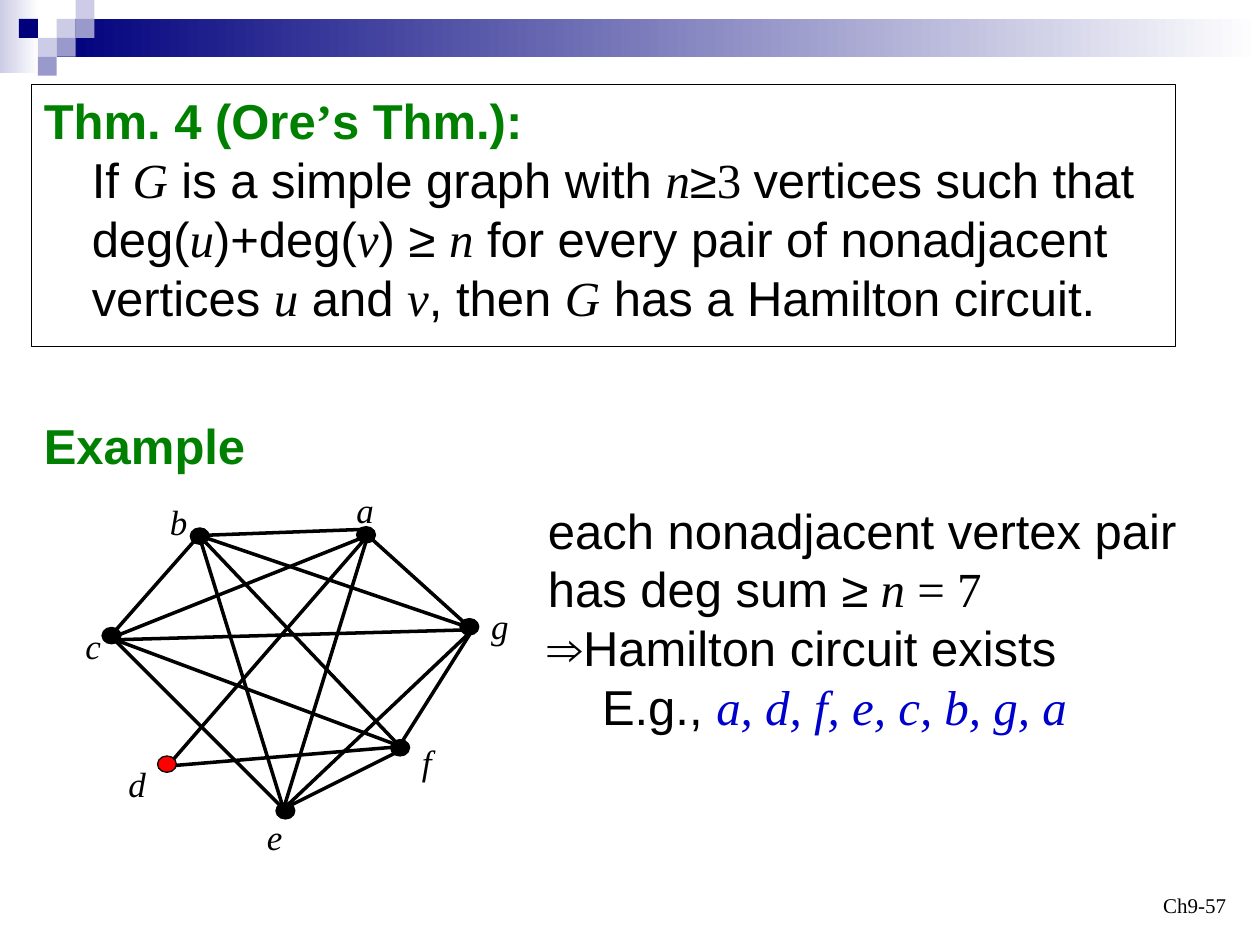
from dataclasses import dataclass
from lxml.etree import SubElement
from pptx import Presentation
from pptx.dml.color import RGBColor
from pptx.enum.shapes import MSO_CONNECTOR as CONNECTOR, MSO_SHAPE as SHAPE
from pptx.enum.text import MSO_ANCHOR as ANCHOR, MSO_AUTO_SIZE as AUTO_SIZE, PP_ALIGN as ALIGN
from pptx.oxml.ns import qn
from pptx.util import Inches, Pt


@dataclass(frozen=True)
class Theme:
    black: RGBColor = RGBColor(0, 0, 0)
    white: RGBColor = RGBColor(255, 255, 255)
    navy: RGBColor = RGBColor.from_string("00007D")
    lavender: RGBColor = RGBColor.from_string("CCCCE6")
    violet: RGBColor = RGBColor.from_string("9999CC")
    green: RGBColor = RGBColor.from_string("008000")
    blue: RGBColor = RGBColor.from_string("0000CC")
    red: RGBColor = RGBColor.from_string("FF0000")
    sans: str = "Arial"
    serif: str = "Times New Roman"
    body: int = 28
    label: int = 20
    footer: int = 12


theme = Theme()
presentation = Presentation()
presentation.slide_width, presentation.slide_height = Inches(10), Inches(7.5)
slide = presentation.slides.add_slide(presentation.slide_layouts[6])
shapes = slide.shapes


def add_shape(kind, box, fill=None, line=None):
    shape = shapes.add_shape(kind, *map(Inches, box))
    shape.shadow.inherit = False
    if fill is None:
        shape.fill.background()
    elif isinstance(fill, list):
        shape.fill.gradient()
        shape.fill.gradient_angle = 0
        for stop, color in zip(shape.fill.gradient_stops, fill):
            stop.color.rgb = color
    else:
        shape.fill.solid()
        shape.fill.fore_color.rgb = fill
    if line is None:
        shape.line.fill.background()
    else:
        shape.line.color.rgb = line
        shape.line.width = Pt(0.75)
    return shape


def add_run(paragraph, text, font=theme.sans, color=theme.black, size=theme.body, bold=False):
    run = paragraph.add_run()
    run.text = text
    run.font.name, run.font.size = font, Pt(size)
    run.font.bold = bold
    run.font.italic = font == theme.serif and any(letter.isalpha() for letter in text) and size != theme.footer
    run.font.color.rgb = color


# Header band and its mosaic of small squares
add_shape(SHAPE.RECTANGLE, (0, 0, 0.31, 0.58), [theme.lavender, theme.white])
add_shape(SHAPE.RECTANGLE, (0.45, 0.15, 9.55, 0.3), [theme.navy, theme.white])
tile = 0.15
for column, row, color in [
    (3, 1, theme.lavender), (4, 0, theme.lavender), (4, 1, theme.violet), (2, 2, theme.lavender),
    (1, 1, theme.navy), (3, 2, theme.violet), (2, 3, theme.violet),
]:
    add_shape(SHAPE.RECTANGLE, (column * tile, row * tile, tile, tile), color)

# Slide number
footer = shapes.add_textbox(Inches(7.5), Inches(6.83), Inches(2.33), Inches(0.5)).text_frame
footer.word_wrap = True
footer.vertical_anchor = ANCHOR.BOTTOM
footer.paragraphs[0].alignment = ALIGN.RIGHT
add_run(footer.paragraphs[0], "Ch9-57", theme.serif, size=theme.footer)

# Theorem box
theorem = add_shape(SHAPE.RECTANGLE, (0.25, 0.67, 9.08, 2.08), line=theme.black).text_frame
theorem.vertical_anchor = ANCHOR.TOP
paragraph = theorem.paragraphs[0]
paragraph.alignment = ALIGN.LEFT
properties = paragraph._p.get_or_add_pPr()
properties.set("marL", str(Inches(0.38)))
properties.set("indent", str(Inches(-0.38)))
add_run(paragraph, "Thm. 4 (Ore", color=theme.green, bold=True)
add_run(paragraph, "’", theme.serif, theme.green, bold=True)
add_run(paragraph, "s Thm.):", color=theme.green, bold=True)
paragraph.add_line_break()
for text, font in [
    ("If ", theme.sans), ("G", theme.serif), (" is a simple graph with ", theme.sans),
    ("n", theme.serif), ("≥", theme.sans), ("3 ", theme.serif),
    ("vertices such that deg(", theme.sans), ("u", theme.serif), (")+deg(", theme.sans),
    ("v", theme.serif), (") ≥ ", theme.sans), ("n", theme.serif),
    (" for every pair of nonadjacent vertices ", theme.sans), ("u", theme.serif),
    (" and ", theme.sans), ("v", theme.serif), (", then ", theme.sans), ("G", theme.serif),
    (" has a Hamilton circuit.", theme.sans),
]:
    add_run(paragraph, text, font)

# Explanation beside the graph
explanation = shapes.add_textbox(Inches(4.25), Inches(3.92), Inches(5.5), Inches(1.97)).text_frame
explanation.word_wrap = True
explanation.auto_size = AUTO_SIZE.SHAPE_TO_FIT_TEXT
paragraph = explanation.paragraphs[0]
add_run(paragraph, "each nonadjacent vertex pair")
paragraph.add_line_break()
add_run(paragraph, "has deg sum ≥")
add_run(paragraph, " n ", theme.serif)
add_run(paragraph, "= 7", theme.serif)
add_run(explanation.add_paragraph(), "⇒Hamilton circuit exists")
paragraph = explanation.add_paragraph()
paragraph._p.get_or_add_pPr().set("marL", str(Inches(0.43)))
add_run(paragraph, "E.g., ")
add_run(paragraph, "a, d, f, e, c, b, g, a", theme.serif, theme.blue)

# Graph edges: ends are named joints, or points where an edge meets a vertex off its joint
joints = {
    "a": (2.92, 4.25), "b": (1.58, 4.25), "d": (1.33, 6.08), "e": (2.25, 6.42),
    "f": (3.17, 5.92), "g": (3.75, 5),
}
for start, end in [
    ("d", "a"), ("b", (0.92, 5)), ((3.72, 4.98), "b"), ("a", "g"), ((0.83, 5), "e"),
    ("a", (0.89, 5.06)), ("f", "g"), ((0.83, 5.08), (3.67, 5)), ((2.92, 4.2), "b"),
    ("f", (0.92, 5.08)), ("e", (3.25, 5.92)), ("e", "a"), ("d", (3.25, 5.92)),
    ("e", "b"), ("e", "g"), ("f", "b"),
]:
    points = joints.get(start, start) + joints.get(end, end)
    edge = shapes.add_connector(CONNECTOR.STRAIGHT, *map(Inches, points))
    edge.line.color.rgb = theme.black
    edge.line.width = Pt(2)
    SubElement(edge._element.spPr, qn("a:effectLst"))

# Graph vertices with their labels: dot corner, label corner, label width
for name, dot, label, width in [
    ("a", (2.83, 4.18), (2.73, 3.83), 0.34), ("b", (1.51, 4.19), (1.25, 3.92), 0.34),
    ("c", (0.81, 4.98), (0.58, 4.91), 0.32), ("d", (1.25, 6), (0.92, 6), 0.34),
    ("e", (2.19, 6.37), (2.02, 6.42), 0.32), ("f", (3.1, 5.87), (3.25, 5.83), 0.28),
    ("g", (3.65, 4.91), (3.8, 4.75), 0.34),
]:
    color = theme.red if name == "d" else theme.black
    add_shape(SHAPE.FLOWCHART_CONNECTOR, (*dot, 0.15, 0.13), color, theme.black)
    frame = shapes.add_textbox(*map(Inches, (*label, width, 0.43))).text_frame
    frame.word_wrap = False
    frame.auto_size = AUTO_SIZE.SHAPE_TO_FIT_TEXT
    add_run(frame.paragraphs[0], name, theme.serif, size=theme.label)

# Example heading
heading = shapes.add_textbox(Inches(0.25), Inches(3.25), Inches(1.82), Inches(0.57)).text_frame
heading.word_wrap = False
heading.auto_size = AUTO_SIZE.SHAPE_TO_FIT_TEXT
add_run(heading.paragraphs[0], "Example", color=theme.green, bold=True)

presentation.save("out.pptx")
